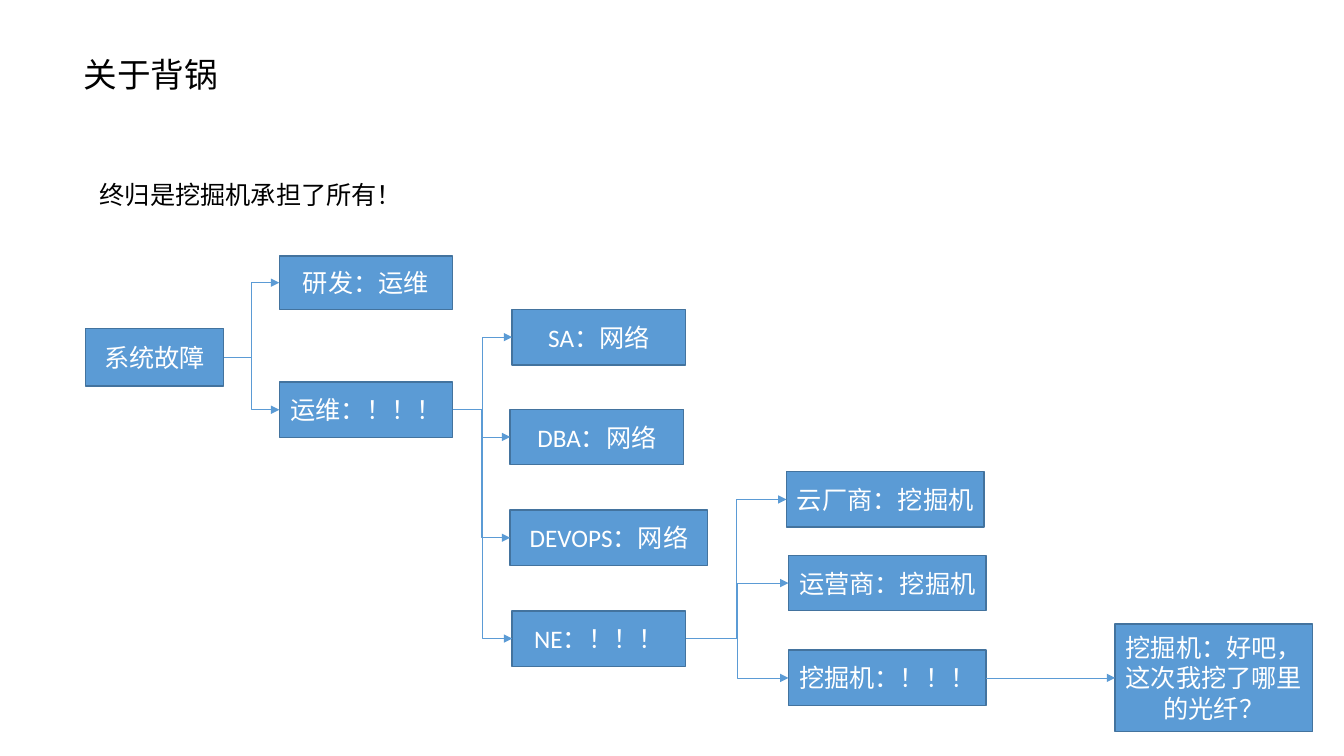
from dataclasses import dataclass

from lxml.etree import SubElement
from pptx import Presentation
from pptx.dml.color import RGBColor
from pptx.enum.shapes import MSO_CONNECTOR as Connector, MSO_SHAPE as Shape
from pptx.enum.text import MSO_ANCHOR as Anchor, PP_ALIGN as Align
from pptx.oxml.ns import qn
from pptx.util import Inches, Pt


@dataclass(frozen=True)
class Theme:
    fill: RGBColor = RGBColor(0x5B, 0x9B, 0xD5)
    border: RGBColor = RGBColor(0x43, 0x73, 0x9E)
    dark: RGBColor = RGBColor(0, 0, 0)
    light: RGBColor = RGBColor(0xFF, 0xFF, 0xFF)
    body_font: str = "Calibri"
    chinese_font: str = "Noto Sans CJK SC"
    title_size: Pt = Pt(24)
    body_size: Pt = Pt(18)


THEME = Theme()
LEFT_SITE, RIGHT_SITE = 1, 3

# label: (left, top, width, height)
BOXES = {
    "系统故障": (0.85, 3.26, 1.37, 0.57),
    "研发：运维": (2.77, 2.54, 1.72, 0.53),
    "运维：！！！": (2.77, 3.79, 1.72, 0.55),
    "SA：网络": (5.08, 3.07, 1.72, 0.55),
    "DBA：网络": (5.06, 4.06, 1.72, 0.55),
    "DEVOPS：网络": (5.06, 5.06, 1.96, 0.55),
    "NE：！！！": (5.08, 6.06, 1.72, 0.55),
    "云厂商：挖掘机": (7.8, 4.68, 1.96, 0.55),
    "运营商：挖掘机": (7.82, 5.51, 1.96, 0.55),
    "挖掘机：！！！": (7.82, 6.45, 1.96, 0.55),
    "挖掘机：好吧，这次我挖了哪里的光纤？": (11.06, 6.19, 1.96, 1.07),
}

# who is blamed: whom they pass it to
BLAME = {
    "系统故障": ["研发：运维", "运维：！！！"],
    "运维：！！！": ["SA：网络", "DBA：网络", "DEVOPS：网络", "NE：！！！"],
    "NE：！！！": ["云厂商：挖掘机", "运营商：挖掘机", "挖掘机：！！！"],
    "挖掘机：！！！": ["挖掘机：好吧，这次我挖了哪里的光纤？"],
}


def write(shape, text, size, color, font=THEME.body_font):
    para = shape.text_frame.paragraphs[0]
    para.text = text
    para.font.size = size
    para.font.color.rgb = color
    para.font.name = font
    defaults = para._p.get_or_add_pPr().find(qn("a:defRPr"))
    SubElement(defaults, qn("a:ea"), typeface=THEME.chinese_font)
    return para


def add_text(page, text, bounds, size, font=THEME.body_font, wrap=True):
    box = page.shapes.add_textbox(*map(Inches, bounds))
    box.text_frame.word_wrap = wrap
    return write(box, text, size, THEME.dark, font)


def add_box(page, label, bounds):
    box = page.shapes.add_shape(Shape.RECTANGLE, *map(Inches, bounds))
    box.shadow.inherit = False
    box.fill.solid()
    box.fill.fore_color.rgb = THEME.fill
    box.line.color.rgb = THEME.border
    box.line.width = Pt(1)
    box.text_frame.word_wrap = True
    box.text_frame.vertical_anchor = Anchor.MIDDLE
    write(box, label, THEME.body_size, THEME.light).alignment = Align.CENTER
    return box


def add_arrow(page, source, target):
    """Join the right side of source to the left side of target."""
    arrow = page.shapes.add_connector(Connector.ELBOW, 0, 0, 0, 0)
    arrow.begin_connect(source, RIGHT_SITE)
    arrow.end_connect(target, LEFT_SITE)
    arrow.line.color.rgb = THEME.fill
    arrow.line.width = Pt(0.5)
    SubElement(arrow.line._get_or_add_ln(), qn("a:tailEnd"), type="triangle")
    SubElement(arrow._element.spPr, qn("a:effectLst"))


def main():
    deck = Presentation()
    deck.slide_width, deck.slide_height = Inches(13.33), Inches(7.5)
    page = deck.slides.add_slide(deck.slide_layouts[6])

    title = add_text(page, "关于背锅", (0.73, 0.53, 4.24, 0.53),
                     THEME.title_size, THEME.chinese_font)
    title.line_spacing = 0.9
    add_text(page, "终归是挖掘机承担了所有！", (0.89, 1.73, 3.23, 0.4),
             THEME.body_size, wrap=False)

    boxes = {label: add_box(page, label, bounds) for label, bounds in BOXES.items()}
    for source, targets in BLAME.items():
        for target in targets:
            add_arrow(page, boxes[source], boxes[target])

    deck.save("out.pptx")


if __name__ == "__main__":
    main()
